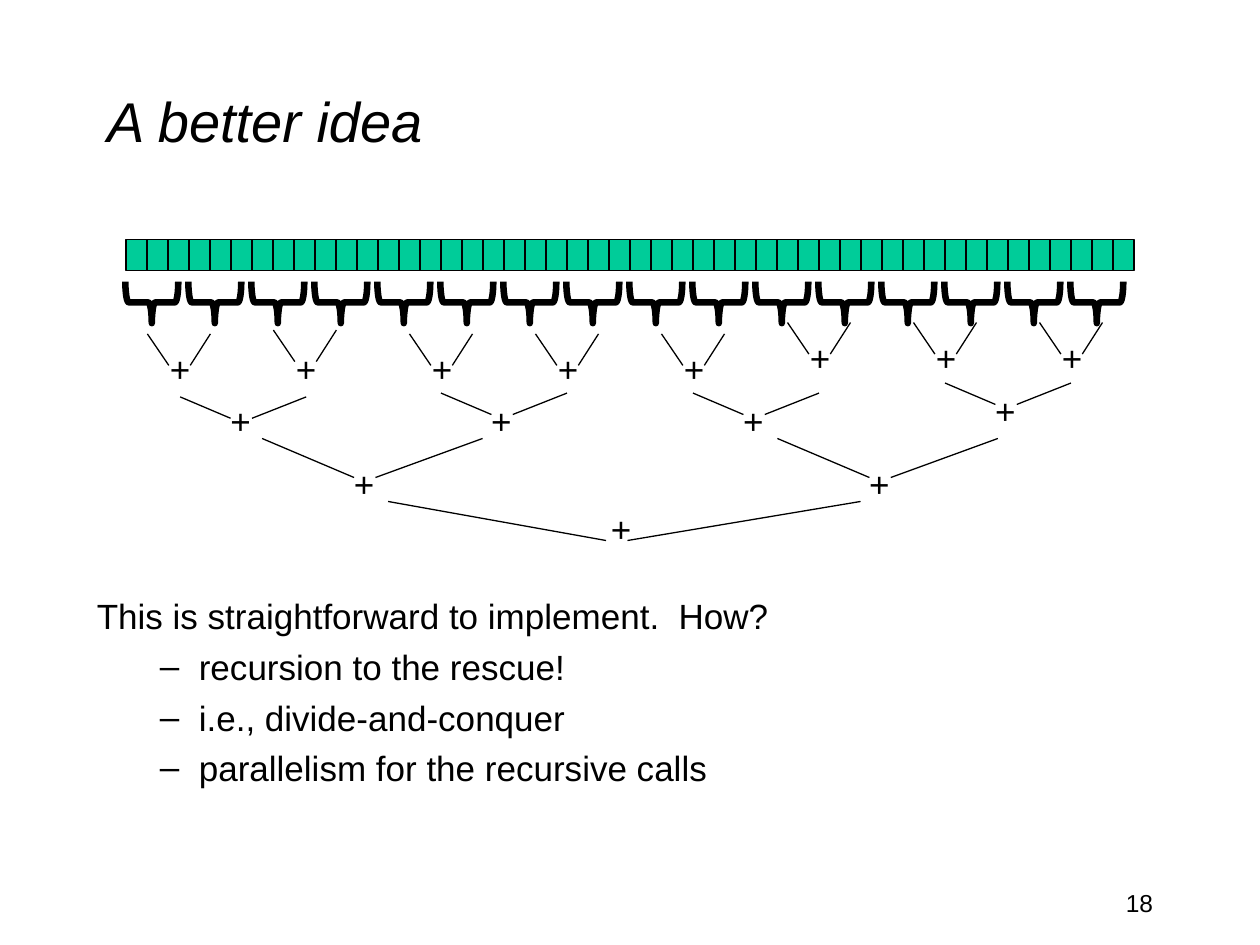
"""Build a slide that shows a parallel sum as a binary tree."""
import dataclasses

import lxml.etree
import pptx
import pptx.dml.color
import pptx.enum.shapes
import pptx.enum.text
import pptx.oxml.ns
import pptx.util

Inches = pptx.util.Inches
Pt = pptx.util.Pt
Shapes = pptx.enum.shapes.MSO_SHAPE
Align = pptx.enum.text.PP_ALIGN
Anchor = pptx.enum.text.MSO_ANCHOR
qn = pptx.oxml.ns.qn


@dataclasses.dataclass(frozen=True)
class Theme:
    font: str = "Arial"
    ink: str = "000000"
    cell: str = "00CC99"
    title_size: float = 32
    body_size: float = 20
    number_size: float = 14
    thin: float = 0.75
    thick: float = 3.75


@dataclasses.dataclass(frozen=True)
class Level:
    span: float
    reach: float
    rise: float
    plus_shift: float
    nodes: tuple


def rgb(code):
    return pptx.dml.color.RGBColor.from_string(code)


def write(paragraph, text, *, font, size, color, italic=False, align=Align.LEFT,
          before=0, margin=0, hanging=0, bullet=None):
    run = paragraph.add_run()
    run.text = text
    run.font.name = font
    run.font.size = Pt(size)
    run.font.italic = italic
    run.font.color.rgb = rgb(color)
    paragraph.alignment = align
    paragraph.space_before = Pt(before)
    if bullet:
        properties = paragraph._p.get_or_add_pPr()
        properties.set("marL", str(Inches(margin)))
        properties.set("indent", str(Inches(-hanging)))
        lxml.etree.SubElement(properties, qn("a:buFont")).set("typeface", font)
        lxml.etree.SubElement(properties, qn("a:buChar")).set("char", bullet)


class SlideBuilder:
    def __init__(self, theme, slide):
        self.theme = theme
        self.slide = slide

    def title(self, text, left, top, width, height):
        heading = self.slide.shapes.title
        heading.left, heading.top = Inches(left), Inches(top)
        heading.width, heading.height = Inches(width), Inches(height)
        heading.text_frame.vertical_anchor = Anchor.MIDDLE
        write(heading.text_frame.paragraphs[0], text, font=self.theme.font,
              size=self.theme.title_size, color=self.theme.ink, italic=True)

    def text(self, lines, left, top, width, height, size, wrap=True):
        frame = self.slide.shapes.add_textbox(
            Inches(left), Inches(top), Inches(width), Inches(height)).text_frame
        frame.word_wrap = wrap
        for index, (line, style) in enumerate(lines):
            paragraph = frame.add_paragraph() if index else frame.paragraphs[0]
            write(paragraph, line, font=self.theme.font, size=size,
                  color=self.theme.ink, **style)

    def shape(self, kind, left, top, width, height, line, fill=None, rotation=0):
        figure = self.slide.shapes.add_shape(
            kind, Inches(left), Inches(top), Inches(width), Inches(height))
        figure.shadow.inherit = False
        figure.rotation = rotation
        if fill:
            figure.fill.solid()
            figure.fill.fore_color.rgb = rgb(fill)
        else:
            figure.fill.background()
        figure.line.color.rgb = rgb(self.theme.ink)
        figure.line.width = Pt(line)

    def line(self, start_x, start_y, end_x, end_y):
        branch = self.slide.shapes.add_connector(
            pptx.enum.shapes.MSO_CONNECTOR.STRAIGHT, Inches(start_x),
            Inches(start_y), Inches(end_x), Inches(end_y))
        branch.line.color.rgb = rgb(self.theme.ink)
        branch.line.width = Pt(self.theme.thin)
        lxml.etree.SubElement(branch._element.spPr, qn("a:effectLst"))

    def sum_node(self, level, left, top, plus_top):
        bottom = top + level.rise
        inner = left + level.reach
        self.line(left, top, inner, bottom)
        self.line(left + level.span, top, inner + 0.17, bottom)
        self.text([("+", {})], left + level.plus_shift, plus_top, 0.36, 0.44,
                  self.theme.body_size, wrap=False)


LEVELS = (
    Level(0.5, 0.17, 0.25, 0.08, (
        (1.17, 2.65, 2.71), (2.17, 2.62, 2.71),
        *((left + 0.25, 2.65, 2.71) for left in (3, 4, 5)),
        *((left + 0.25, 2.56, 2.62) for left in (6, 7, 8)))),
    Level(1, 0.4, 0.17, 0.3, (
        (1.43, 3.15, 3.12), (3.5, 3.12, 3.12),
        (5.5, 3.12, 3.12), (7.5, 3.04, 3.04))),
    Level(1.75, 0.73, 0.31, 0.63, ((2.08, 3.48, 3.62), (6.17, 3.48, 3.62))),
    Level(3.75, 1.73, 0.31, 1.67, ((3.08, 3.98, 3.98),)),
)
POINTS = ("recursion to the rescue!", "i.e., divide-and-conquer",
          "parallelism for the recursive calls")


def main():
    theme = Theme()
    deck = pptx.Presentation()
    deck.slide_width, deck.slide_height = Inches(10), Inches(7.5)
    slide = deck.slides.add_slide(deck.slide_layouts[5])
    builder = SlideBuilder(theme, slide)

    builder.title("A better idea", 0.75, 0.33, 8.5, 1.25)
    point_style = dict(before=5, margin=0.81, hanging=0.31, bullet="–")
    builder.text(
        [("This is straightforward to implement.  How?", dict(before=5)),
         *((point, point_style) for point in POINTS)],
        0.67, 4.67, 8.5, 1.42, theme.body_size)
    builder.text([("18", dict(align=Align.RIGHT))], 7.17, 7, 2.08, 0.5,
                 theme.number_size)

    for cell in range(48):
        builder.shape(Shapes.RECTANGLE, 1 + cell / 6, 1.9, 1 / 6, 0.25,
                      theme.thin, fill=theme.cell)
    for group in range(16):
        builder.shape(Shapes.LEFT_BRACE, 1.04 + group / 2, 2.19, 0.33, 0.42,
                      theme.thick, rotation=270)
    for level in LEVELS:
        for node in level.nodes:
            builder.sum_node(level, *node)

    deck.save("out.pptx")


main()
